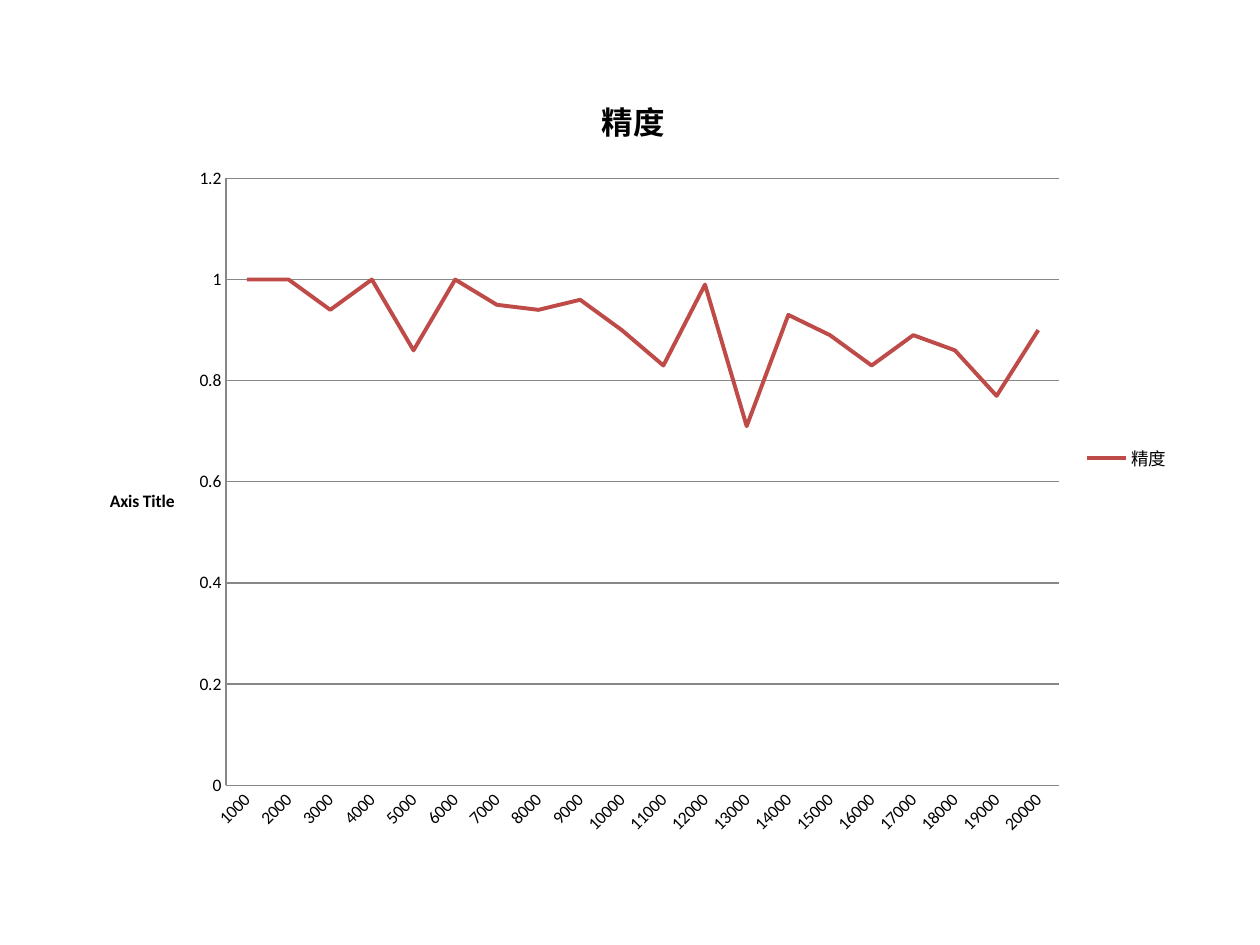
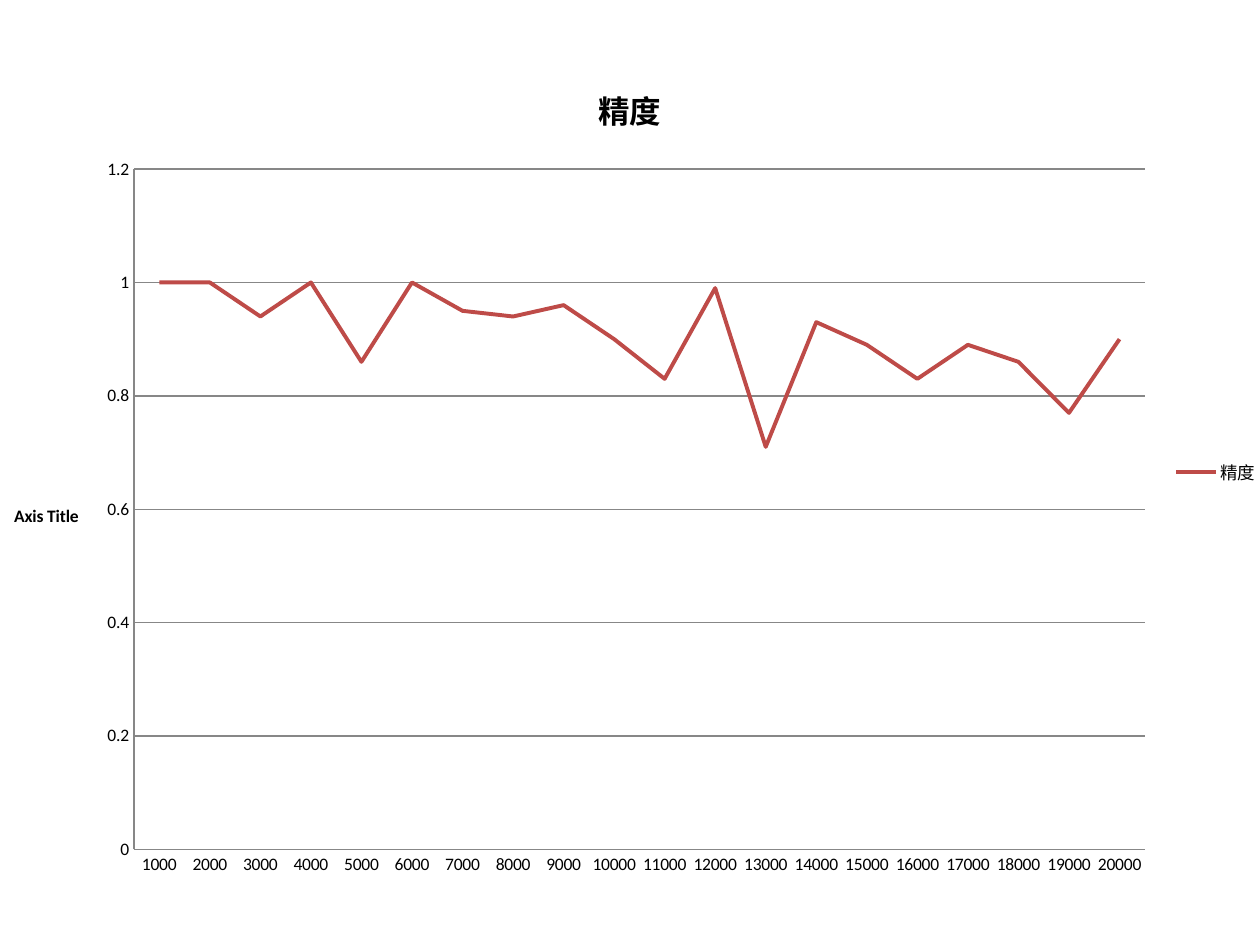
from pptx import Presentation
from pptx.chart.data import CategoryChartData
from pptx.dml.color import RGBColor
from pptx.enum.chart import XL_CHART_TYPE as ChartType, XL_LEGEND_POSITION as LegendPosition
from pptx.enum.chart import XL_MARKER_STYLE as MarkerStyle, XL_TICK_MARK as TickMark
from pptx.util import Inches, Pt

FONT = "Calibri"
BLACK, GRID_GREY, LINE_RED = "000000", "878787", "BE4B48"
BLANK_LAYOUT = 6

SERIES_NAME = "精度"
STEPS = [str(step) for step in range(1000, 20001, 1000)]
PRECISION = [1, 1, 0.94, 1, 0.86, 1, 0.95, 0.94, 0.96, 0.9,
             0.83, 0.99, 0.71, 0.93, 0.89, 0.83, 0.89, 0.86, 0.77, 0.9]
CHART_BOXES = [(0.67, 0.52, 8.71, 6.23), (-0.09, 0.43, 10.18, 6.64)]


def color(hex_code):
    return RGBColor.from_string(hex_code)


def style_font(font, size, bold=False):
    font.name = FONT
    font.size = Pt(size)
    font.bold = bold
    font.color.rgb = color(BLACK)


def style_line(line, hex_code, width):
    line.color.rgb = color(hex_code)
    line.width = Pt(width)


def write_title(title, text, size):
    title.text_frame.text = text
    style_font(title.text_frame.paragraphs[0].font, size, bold=True)


def style_axes(chart):
    steps_axis, precision_axis = chart.category_axis, chart.value_axis
    for axis in (steps_axis, precision_axis):
        axis.major_tick_mark = axis.minor_tick_mark = TickMark.NONE
        style_line(axis.format.line, GRID_GREY, 0.75)
    steps_axis.has_major_gridlines = False

    precision_axis.minimum_scale = 0
    precision_axis.maximum_scale = 1.2
    precision_axis.major_unit = 0.2
    precision_axis.has_major_gridlines = True
    style_line(precision_axis.major_gridlines.format.line, GRID_GREY, 0.75)
    write_title(precision_axis.axis_title, "Axis Title", 10)
    title_body = precision_axis.axis_title.element.xpath(".//a:bodyPr")[0]
    title_body.set("rot", "0")
    title_body.set("vert", "horz")


def add_precision_chart(slide, box):
    data = CategoryChartData()
    data.categories = STEPS
    data.add_series(SERIES_NAME, PRECISION)
    left, top, width, height = map(Inches, box)
    chart = slide.shapes.add_chart(ChartType.LINE, left, top, width, height, data).chart
    style_font(chart.font, 10)

    chart.has_title = True
    write_title(chart.chart_title, SERIES_NAME, 18)
    chart.chart_title.include_in_layout = False
    chart.has_legend = True
    chart.legend.position = LegendPosition.RIGHT
    chart.legend.include_in_layout = False
    style_axes(chart)

    plot = chart.plots[0]
    plot.vary_by_categories = False
    precision = plot.series[0]
    precision.smooth = False
    precision.marker.style = MarkerStyle.NONE
    style_line(precision.format.line, LINE_RED, 2.25)


def main():
    deck = Presentation()
    deck.slide_width, deck.slide_height = Inches(10), Inches(7.5)
    for box in CHART_BOXES:
        add_precision_chart(deck.slides.add_slide(deck.slide_layouts[BLANK_LAYOUT]), box)
    deck.save("out.pptx")


if __name__ == "__main__":
    main()
